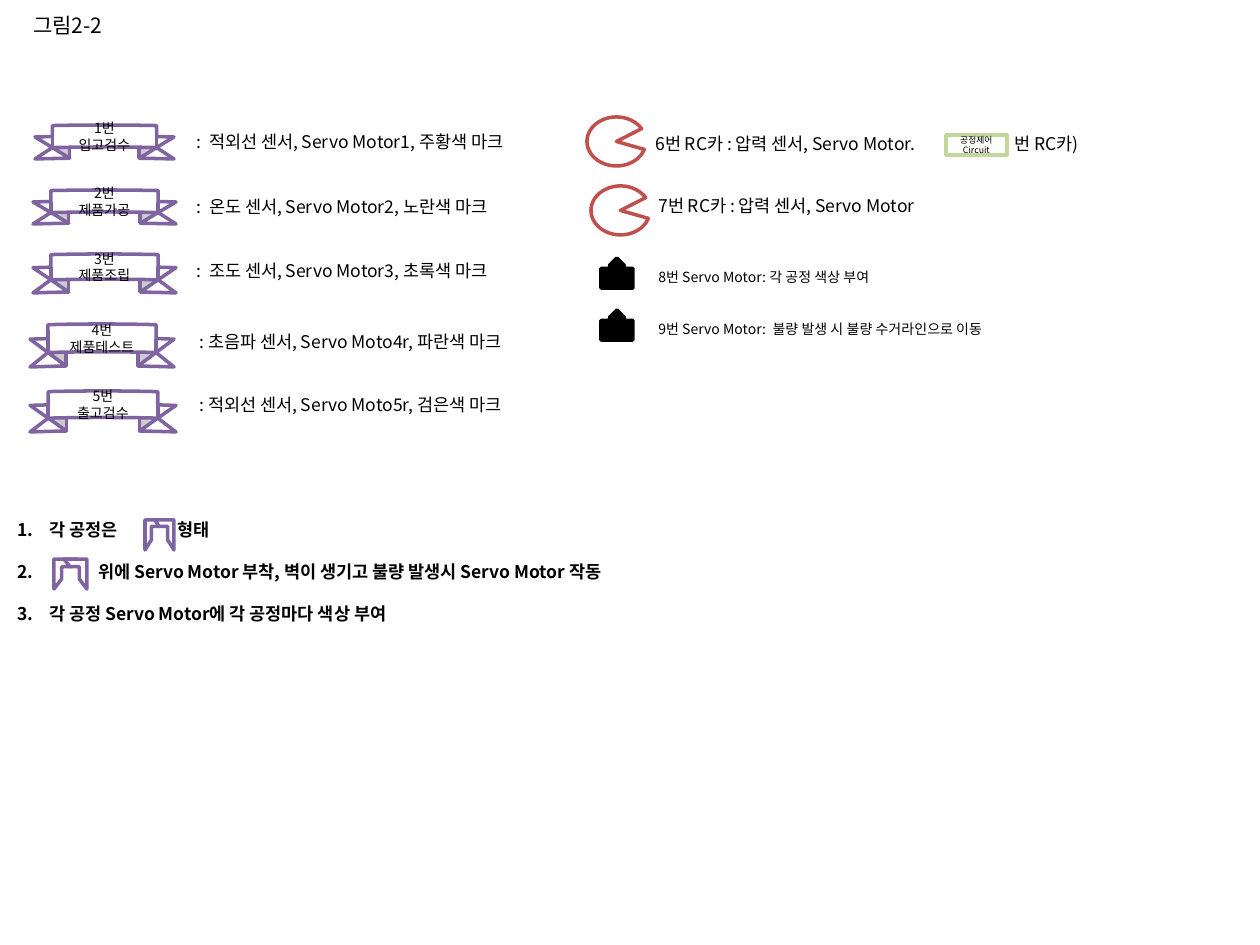
from pptx import Presentation
from pptx.dml.color import RGBColor as RGB
from pptx.enum.shapes import MSO_SHAPE as SHAPE
from pptx.enum.text import MSO_ANCHOR as ANCHOR, PP_ALIGN as ALIGN
from pptx.oxml.ns import qn
from pptx.util import Pt
from lxml.etree import SubElement

PX = 914400 // 126
COLORS = {"ink": "000000", "paper": "FFFFFF", "station": "8064A2",
          "car": "C0504D", "board": "C3D69B"}


class Page:
    font = "Noto Sans CJK KR"

    def __init__(self, prs):
        self.slide = prs.slides.add_slide(prs.slide_layouts[6])

    def color(self, name):
        return RGB.from_string(COLORS[name])

    def fill_text(self, tf, lines, size, align=None, bold=None):
        for i, line in enumerate(lines):
            p = tf.paragraphs[0] if i == 0 else tf.add_paragraph()
            p.alignment = align
            r = p.add_run()
            r.text = line
            for key, value in {"name": self.font, "size": Pt(size), "bold": bold}.items():
                setattr(r.font, key, value)
            r.font.color.rgb = self.color("ink")
            SubElement(r._r.get_or_add_rPr(), qn("a:ea"), typeface=self.font)

    def text(self, box, lines, size=10, bold=None):
        s = self.slide.shapes.add_textbox(*(v * PX for v in box))
        s.text_frame.word_wrap = True
        self.fill_text(s.text_frame, lines, size, bold=bold)
        return s.text_frame.paragraphs

    def shape(self, kind, box, line, fill="paper", adj=(), lines=(), size=8, flip=False):
        s = self.slide.shapes.add_shape(kind, *(v * PX for v in box))
        s.shadow.inherit = False
        s.fill.solid()
        s.fill.fore_color.rgb = self.color(fill)
        s.line.color.rgb = self.color(line)
        s.line.width = Pt(2)
        for i, value in enumerate(adj):
            s.adjustments[i] = value
        if flip:
            s._element.spPr.find(qn("a:xfrm")).set("flipH", "1")
        if lines:
            s.text_frame.vertical_anchor = ANCHOR.MIDDLE
            self.fill_text(s.text_frame, lines, size, ALIGN.CENTER)

    def tab(self, p, pos):
        stops = SubElement(p._p.get_or_add_pPr(), qn("a:tabLst"))
        SubElement(stops, qn("a:tab"), pos=str(pos * PX), algn="l")

    def number(self, p, indent):
        pPr = p._p.get_or_add_pPr()
        pPr.set("marL", str(indent * PX))
        pPr.set("indent", str(-indent * PX))
        SubElement(pPr, qn("a:buFont"), typeface="+mj-lt")
        SubElement(pPr, qn("a:buAutoNum"), type="arabicPeriod")

    def arch(self, x, y, width, step):
        for dx, flip in ((0, False), (step, True)):
            self.shape(SHAPE.HALF_FRAME, (x + dx, y, width, 30), "station", flip=flip)


prs = Presentation()
prs.slide_width, prs.slide_height = 1260 * PX, 945 * PX
page = Page(prs)

# Title
page.text((21, 6, 102, 38), ["그림2-2"], 12)

# Stations: ribbon box, name, label position, label
stations = [
    ((35, 125, 139, 34), "입고검수", (184, 125), ":  적외선 센서, Servo Motor1, 주황색 마크"),
    ((33, 190, 143, 34), "제품가공", (184, 190), ":  온도 센서, Servo Motor2, 노란색 마크"),
    ((33, 254, 143, 39), "제품조립", (184, 254), ":  조도 센서, Servo Motor3, 초록색 마크"),
    ((30, 324, 144, 43), "제품테스트", (187, 325), ": 초음파 센서, Servo Moto4r, 파란색 마크"),
    ((30, 391, 146, 41), "출고검수", (187, 388), ": 적외선 센서, Servo Moto5r, 검은색 마크"),
]
for n, (box, name, at, label) in enumerate(stations, 1):
    page.shape(SHAPE.CURVED_UP_RIBBON, box, "station", adj=(0.353, 1, 0),
               lines=[f"{n}번", name])
    page.text((*at, 370, 34), [label])

# Numbered notes with arch symbols
notes = page.text((5, 513, 1200, 118), [
    "각 공정은\t형태",
    "위에 Servo Motor 부착, 벽이 생기고 불량 발생시 Servo Motor 작동",
    "각 공정 Servo Motor에 각 공정마다 색상 부여"], bold=True)
for p, indent in zip(notes, (32, 81, 32)):
    p.space_after = Pt(12)
    page.number(p, indent)
page.tab(notes[0], 160)
page.arch(145, 520, 19, 10)
page.arch(54, 559, 23, 10)

# RC cars
for x, y in ((587, 117), (591, 186)):
    page.shape(SHAPE.PIE, (x, y, 59, 49), "car", adj=(9.561, 199.835))
car = page.text((643, 127, 533, 34), ["6번 RC카 : 압력 센서, Servo Motor.\t번 RC카)"])
page.tab(car[0], 359)
page.text((646, 189, 310, 34), ["7번 RC카 : 압력 센서, Servo Motor"])
page.shape(SHAPE.RECTANGLE, (946, 135, 61, 20), "board",
           lines=["공정제어", "Circuit"], size=5)

# Servo motors
for y, label in ((258, "8번 Servo Motor: 각 공정 색상 부여"),
                 (310, "9번 Servo Motor:  불량 발생 시 불량 수거라인으로 이동")):
    page.shape(SHAPE.UP_ARROW_CALLOUT, (601, y, 32, 30), "ink", fill="ink")
    page.text((646, y + 4, 456, 30), [label], 8)

prs.save("out.pptx")
